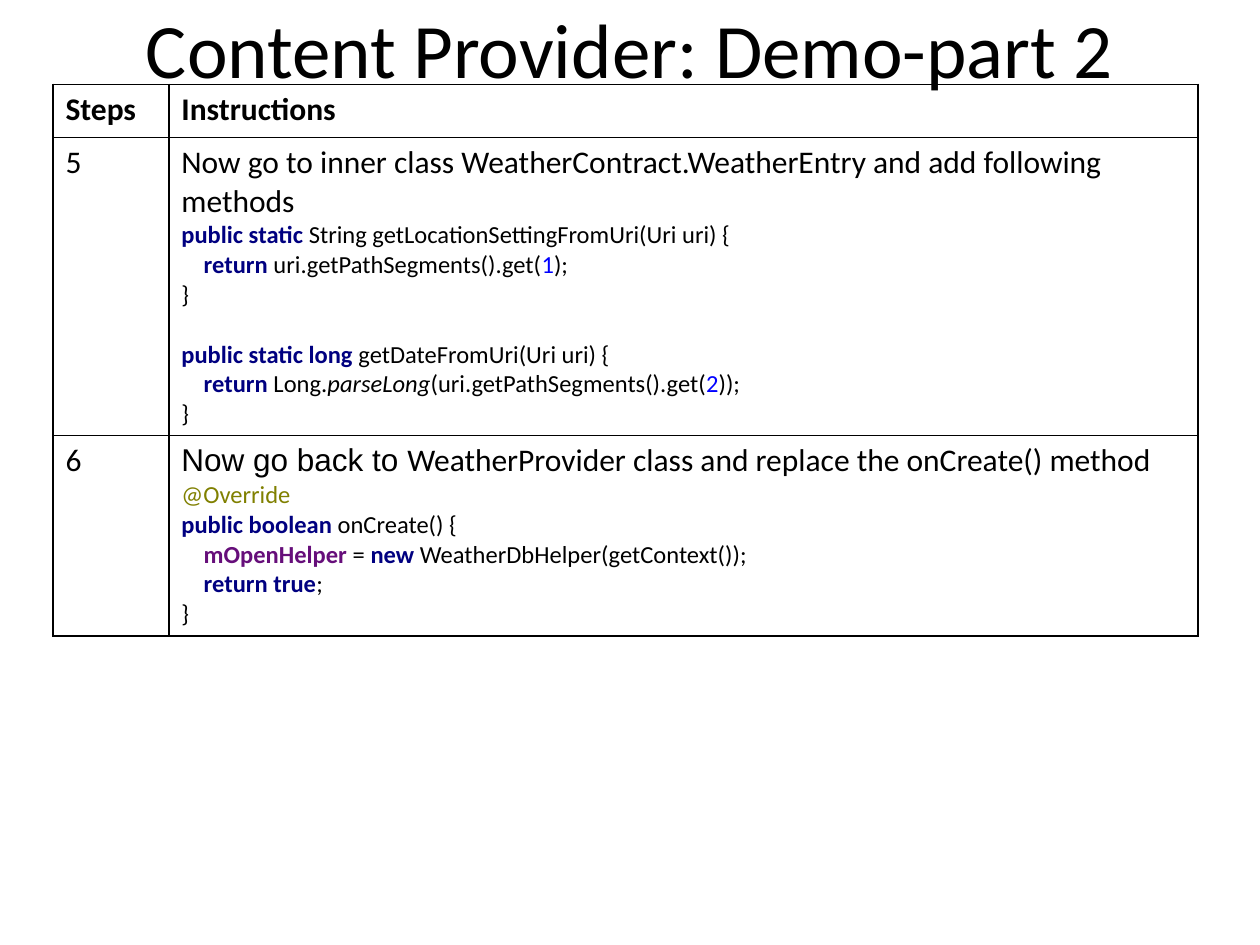
import pptx
import pptx.dml.color
import pptx.enum.text
import pptx.oxml
import pptx.oxml.ns
import pptx.util
from pptx.util import Inches

TITLE = "Content Provider: Demo-part 2"
BLACK = "000000"
BODY = {"size": 18}
HEADING = {"size": 18, "bold": True}
CODE = {"size": 14}
KEYWORD = {"size": 14, "bold": True, "color": "000080"}
NUMBER = {"size": 14, "color": "0000FF"}
METHOD = {"size": 14, "italic": True}
ANNOTATION = {"size": 14, "color": "808000"}
FIELD = {"size": 14, "bold": True, "color": "660E7A"}

# Each cell is a list of lines; each line is a list of (text, format) pieces.
# An empty line becomes space before the line that follows it.
LOCATION_AND_DATE = [
    [("Now go to inner class WeatherContract.WeatherEntry and add following methods", BODY)],
    [("public static ", KEYWORD), ("String getLocationSettingFromUri(Uri uri) {", CODE)],
    [("    ", CODE), ("return ", KEYWORD), ("uri.getPathSegments().get(", CODE),
     ("1", NUMBER), (");", CODE)],
    [("}", CODE)],
    [],
    [("public static long ", KEYWORD), ("getDateFromUri(Uri uri) {", CODE)],
    [("    ", CODE), ("return ", KEYWORD), ("Long.", CODE), ("parseLong", METHOD),
     ("(uri.getPathSegments().get(", CODE), ("2", NUMBER), ("));", CODE)],
    [("}", CODE)],
]
ON_CREATE = [
    [("Now go back to ", {"size": 18, "font": "Arial"}),
     ("WeatherProvider class and replace the onCreate() method", BODY)],
    [("@Override", ANNOTATION)],
    [("public boolean ", KEYWORD), ("onCreate() {", CODE)],
    [("    ", CODE), ("mOpenHelper ", FIELD), ("= ", CODE), ("new ", KEYWORD),
     ("WeatherDbHelper(getContext());", CODE)],
    [("    ", CODE), ("return true", KEYWORD), (";", CODE)],
    [("}", CODE)],
]
STEPS = [
    ([[("Steps", HEADING)]], [[("Instructions", HEADING)]]),
    ([[("5", BODY)]], LOCATION_AND_DATE),
    ([[("6", BODY)]], ON_CREATE),
]
COLUMN_WIDTHS = [0.92, 8.17]
ROW_HEIGHTS = [0.42, 2.36, 1.59]
BLANK_LINE = 17


def rgb(color):
    return pptx.dml.color.RGBColor.from_string(color)


def add_text(paragraph, text, *, size, font="Calibri", color=BLACK, bold=False, italic=False):
    run = paragraph.add_run()
    run.text = text
    run.font.name = font
    run.font.size = pptx.util.Pt(size)
    run.font.bold = bold
    run.font.italic = italic
    run.font.color.rgb = rgb(color)


def add_borders(cell, color=BLACK, width=1):
    properties = cell._tc.get_or_add_tcPr()
    for side in ("lnL", "lnR", "lnT", "lnB"):
        properties.append(pptx.oxml.parse_xml(
            f'<a:{side} {pptx.oxml.ns.nsdecls("a")} w="{pptx.util.Pt(width)}">'
            f'<a:solidFill><a:srgbClr val="{color}"/></a:solidFill></a:{side}>'))


def fill_cell(cell, lines):
    add_borders(cell)
    cell.fill.background()
    paragraph = cell.text_frame.paragraphs[0]
    after_blank = False
    for index, line in enumerate(lines):
        if not line:
            after_blank = True
            continue
        if index:
            paragraph = cell.text_frame.add_paragraph()
        if after_blank:
            paragraph.space_before = pptx.util.Pt(BLANK_LINE)
            after_blank = False
        for text, style in line:
            add_text(paragraph, text, **style)


def main():
    deck = pptx.Presentation()
    deck.slide_width, deck.slide_height = Inches(10), Inches(7.5)
    slide = deck.slides.add_slide(deck.slide_layouts.get_by_name("Title Only"))

    title = slide.shapes.title
    title.left, title.top = Inches(0.5), Inches(-0.25)
    title.width, title.height = Inches(9), Inches(1.25)
    title.text_frame.vertical_anchor = pptx.enum.text.MSO_ANCHOR.MIDDLE
    heading = title.text_frame.paragraphs[0]
    heading.alignment = pptx.enum.text.PP_ALIGN.CENTER
    add_text(heading, TITLE, size=44)

    steps = slide.shapes.add_table(
        len(STEPS), len(COLUMN_WIDTHS), Inches(0.42), Inches(0.67),
        Inches(sum(COLUMN_WIDTHS)), Inches(sum(ROW_HEIGHTS))).table
    steps.first_row = steps.horz_banding = False
    for column, width in zip(steps.columns, COLUMN_WIDTHS):
        column.width = Inches(width)
    for row, height, contents in zip(steps.rows, ROW_HEIGHTS, STEPS):
        row.height = Inches(height)
        for cell, lines in zip(row.cells, contents):
            fill_cell(cell, lines)

    deck.save("out.pptx")


if __name__ == "__main__":
    main()
